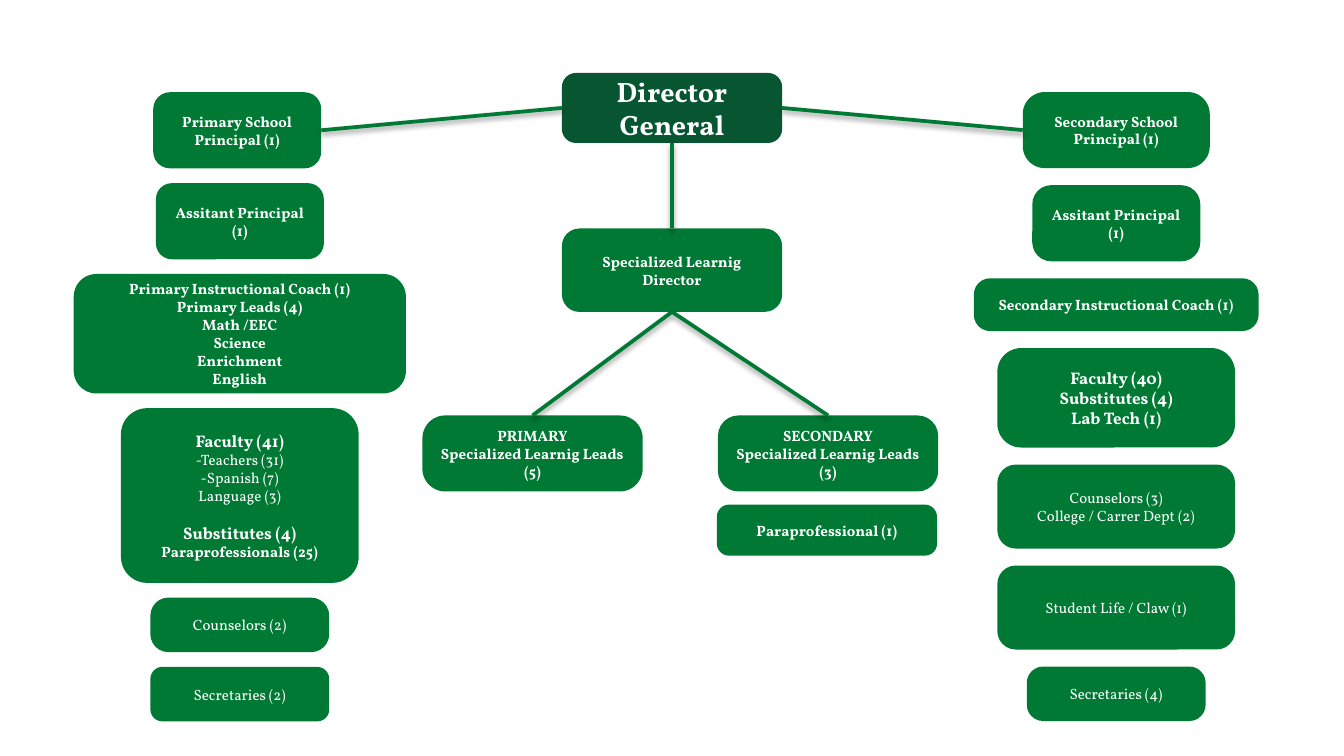
from lxml import etree
from pptx import Presentation
from pptx.dml.color import RGBColor
from pptx.enum import shapes, text
from pptx.oxml import ns
from pptx.util import Pt

TOP, LEFT, BOTTOM, RIGHT = range(4)


def colour(value):
    return RGBColor.from_string(value)


def add_soft_shadow(connector):
    """Give a connector a blurred shadow straight below it."""
    effects = etree.SubElement(connector._element.spPr, ns.qn("a:effectLst"))
    shadow = etree.SubElement(effects, ns.qn("a:outerShdw"), blurRad=str(Pt(3.1)),
                              dist=str(Pt(1.6)), dir="5400000",
                              algn="bl", rotWithShape="0")
    black = etree.SubElement(shadow, ns.qn("a:srgbClr"), val="000000")
    etree.SubElement(black, ns.qn("a:alpha"), val="38000")


class Chart:
    """Holds the style and the current slide; boxes are placed by their centre."""
    font_name = "Vollkorn"
    green = "007934"
    dark_green = "085631"
    white = "FFFFFF"
    inset = 6
    line_width = 2

    def __init__(self, slide):
        self.slide = slide

    def add_box(self, centre, top, width, height, corner, lines,
                size=8, bold=True, fill=green):
        """Add a rounded box; a line is a string or (string, format values)."""
        shape = self.slide.shapes.add_shape(
            shapes.MSO_SHAPE.ROUNDED_RECTANGLE,
            Pt(centre - width / 2), Pt(top), Pt(width), Pt(height))
        shape.adjustments[0] = corner
        shape.shadow.inherit = False
        shape.fill.solid()
        shape.fill.fore_color.rgb = colour(fill)
        shape.line.fill.background()
        frame = shape.text_frame
        frame.word_wrap = True
        frame.vertical_anchor = text.MSO_ANCHOR.MIDDLE
        for side in ("left", "top", "right", "bottom"):
            setattr(frame, f"margin_{side}", Pt(self.inset))
        for index, line in enumerate(lines):
            words, changes = (line, {}) if isinstance(line, str) else line
            paragraph = frame.paragraphs[0] if index == 0 else frame.add_paragraph()
            self.write_line(paragraph, words, {"size": size, "bold": bold, **changes})
        return shape

    def write_line(self, paragraph, words, values):
        paragraph.alignment = text.PP_ALIGN.CENTER
        if "before" in values:
            paragraph.space_before = Pt(values["before"])
        run = paragraph.add_run()
        run.text = words
        run.font.color.rgb = colour(self.white)
        formats = {"name": self.font_name, "size": Pt(values["size"]),
                   "bold": values["bold"]}
        for name, value in formats.items():
            setattr(run.font, name, value)

    def add_column(self, centre, top, gap, rows):
        """Stack boxes with equal gaps and return them."""
        boxes = []
        for width, height, corner, lines, options in rows:
            options = dict(options)
            shift = options.pop("shift", 0)
            boxes.append(self.add_box(centre + shift, top, width, height,
                                      corner, lines, **options))
            top += height + gap
        return boxes

    def join(self, start, start_side, end, end_side):
        connector = self.slide.shapes.add_connector(
            shapes.MSO_CONNECTOR.STRAIGHT, 0, 0, 0, 0)
        connector.begin_connect(start, start_side)
        connector.end_connect(end, end_side)
        connector.line.color.rgb = colour(self.green)
        connector.line.width = Pt(self.line_width)
        add_soft_shadow(connector)


PLAIN = {"bold": False}
LARGE = {"size": 9}

PRIMARY = [
    (90, 40.8, 0.22, ["Primary School Principal (1)"], {"shift": -1.4}),
    (90, 40.8, 0.21, ["Assitant Principal (1)"], {}),
    (178, 64, 0.19, ["Primary Instructional Coach (1)", "Primary Leads (4)",
                     "Math /EEC", "Science", "Enrichment", "English"], {}),
    (127.4, 93.6, 0.15, [("Faculty (41)", LARGE), ("-Teachers (31)", PLAIN),
                         ("-Spanish (7)", PLAIN), ("Language (3)", PLAIN),
                         ("Substitutes (4)", {"size": 9, "before": 9.6}),
                         "Paraprofessionals (25)"], {}),
    (95.8, 29.2, 0.33, ["Counselors (2)"], PLAIN),
    (95.8, 29.2, 0.22, ["Secretaries (2)"], PLAIN),
]

SECONDARY = [
    (100.2, 40.8, 0.29, ["Secondary School Principal (1)"], {}),
    (90, 40.8, 0.25, ["Assitant Principal (1)"], {}),
    (152.6, 28.3, 0.31, ["Secondary Instructional Coach (1)"], {}),
    (127.4, 53.3, 0.24, ["Faculty (40)", "Substitutes (4)", "Lab Tech (1)"], LARGE),
    (127.4, 45, 0.22, ["Counselors (3)", "College / Carrer Dept (2)"], PLAIN),
    (127.4, 45, 0.22, ["Student Life / Claw (1)"], PLAIN),
    (95.8, 29.2, 0.3, ["Secretaries (4)"], PLAIN),
]


def main():
    presentation = Presentation()
    presentation.slide_width, presentation.slide_height = Pt(720), Pt(405)
    slide = presentation.slides.add_slide(presentation.slide_layouts[6])
    chart = Chart(slide)

    middle, width = 360, 118
    director = chart.add_box(middle, 39.1, width, 37.5, 0.2, ["Director General"],
                             size=15, fill=chart.dark_green)
    learning = chart.add_box(middle, 122.4, width, 44.7, 0.21,
                             ["Specialized Learnig Director"])
    primary = chart.add_column(128.5, 49.4, 7.9, PRIMARY)[0]
    secondary = chart.add_column(598, 49.3, 9.1, SECONDARY)[0]
    leads = [
        chart.add_box(centre, 222.6, width, 40.7, corner,
                      [level, f"Specialized Learnig Leads ({count})"])
        for centre, corner, level, count in (
            (285.3, 0.3, "PRIMARY", 5), (443.6, 0.27, "SECONDARY", 3))
    ]
    chart.add_box(443, 270.3, width, 27.4, 0.24, ["Paraprofessional (1)"])

    chart.join(director, LEFT, primary, RIGHT)
    chart.join(secondary, LEFT, director, RIGHT)
    chart.join(director, BOTTOM, learning, TOP)
    for lead in leads:
        chart.join(learning, BOTTOM, lead, TOP)
    presentation.save("out.pptx")


if __name__ == "__main__":
    main()
